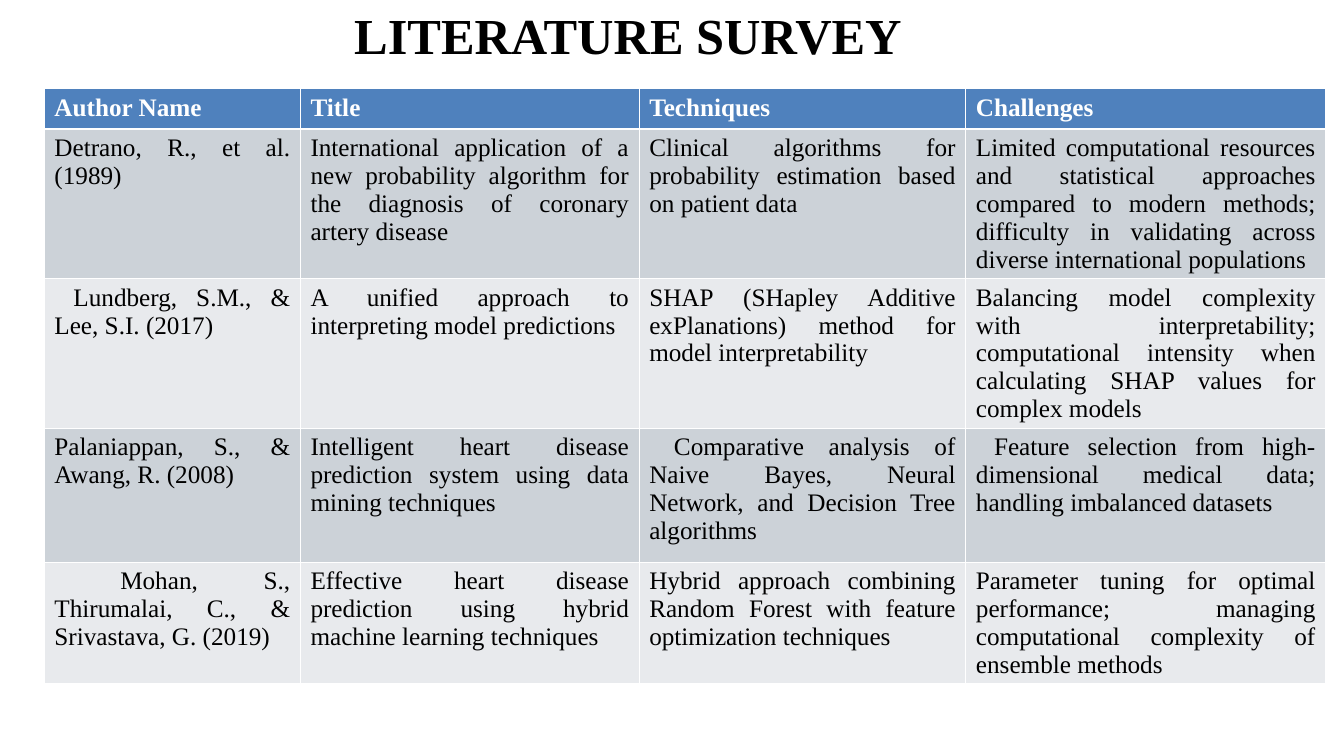
from pptx import Presentation
from pptx.dml.color import RGBColor
from pptx.enum.text import MSO_ANCHOR, PP_ALIGN
from pptx.util import Inches, Pt

CENTER, JUSTIFY = PP_ALIGN.CENTER, PP_ALIGN.JUSTIFY
MIDDLE = MSO_ANCHOR.MIDDLE
FONT = "Times New Roman"
COLORS = {"head": "4F81BD", "odd": "CCD2D8", "even": "E8EAED",
          "ink": "000000", "light": "FFFFFF"}
COLS = [2.54, 3.36, 3.24, 3.57]
ROWS = [0.4, 1.48, 1.48, 1.33, 1.2]
SURVEY = [
    ["Author Name", "Title", "Techniques", "Challenges"],
    ["Detrano, R., et al. (1989)",
     "International application of a new probability algorithm for the diagnosis of coronary artery disease",
     "Clinical algorithms for probability estimation based on patient data",
     "Limited computational resources and statistical approaches compared to modern methods; "
     "difficulty in validating across diverse international populations"],
    [" Lundberg, S.M., & Lee, S.I. (2017)",
     "A unified approach to interpreting model predictions",
     "SHAP (SHapley Additive exPlanations) method for model interpretability",
     "Balancing model complexity with interpretability; "
     "computational intensity when calculating SHAP values for complex models"],
    ["Palaniappan, S., & Awang, R. (2008)",
     "Intelligent heart disease prediction system using data mining techniques",
     " Comparative analysis of Naive Bayes, Neural Network, and Decision Tree algorithms",
     " Feature selection from high-dimensional medical data; handling imbalanced datasets"],
    [" Mohan, S., Thirumalai, C., & Srivastava, G. (2019)",
     "Effective heart disease prediction using hybrid machine learning techniques",
     "Hybrid approach combining Random Forest with feature optimization techniques",
     "Parameter tuning for optimal performance; "
     "managing computational complexity of ensemble methods"],
]


def write(frame, text, size, color, bold, align):
    frame.text = text
    para = frame.paragraphs[0]
    para.alignment = align
    font = para.runs[0].font
    font.name, font.size, font.bold = FONT, Pt(size), bold
    font.color.rgb = RGBColor.from_string(COLORS[color])


deck = Presentation()
deck.slide_width, deck.slide_height = Inches(13.33), Inches(7.5)
slide = deck.slides.add_slide(deck.slide_layouts[5])

title = slide.shapes.title
title.left, title.top = Inches(0.48), Inches(-0.12)
title.width, title.height = Inches(11.5), Inches(1)
write(title.text_frame, "LITERATURE SURVEY", 36, "ink", True, CENTER)
title.text_frame.vertical_anchor = MIDDLE
title.text_frame.paragraphs[0].line_spacing = 0.9

table = slide.shapes.add_table(
    len(ROWS), len(COLS), Inches(0.44), Inches(0.88),
    Inches(sum(COLS)), Inches(sum(ROWS))).table
for col, width in zip(table.columns, COLS):
    col.width = Inches(width)
for row, height in zip(table.rows, ROWS):
    row.height = Inches(height)

for r, record in enumerate(SURVEY):
    head = r == 0
    fill = "head" if head else "odd" if r % 2 else "even"
    for c, text in enumerate(record):
        cell = table.cell(r, c)
        cell.fill.solid()
        cell.fill.fore_color.rgb = RGBColor.from_string(COLORS[fill])
        write(cell.text_frame, text, 18, "light" if head else "ink", head, JUSTIFY)

deck.save("out.pptx")
